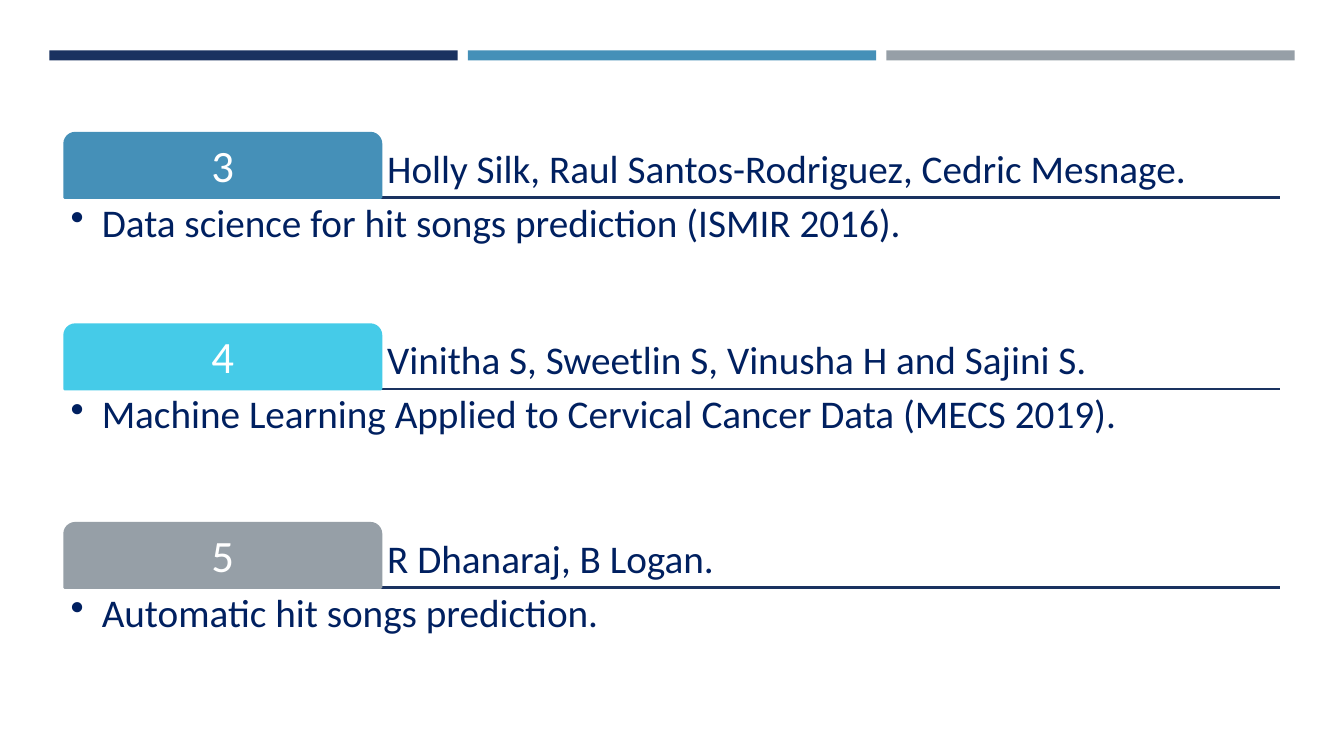
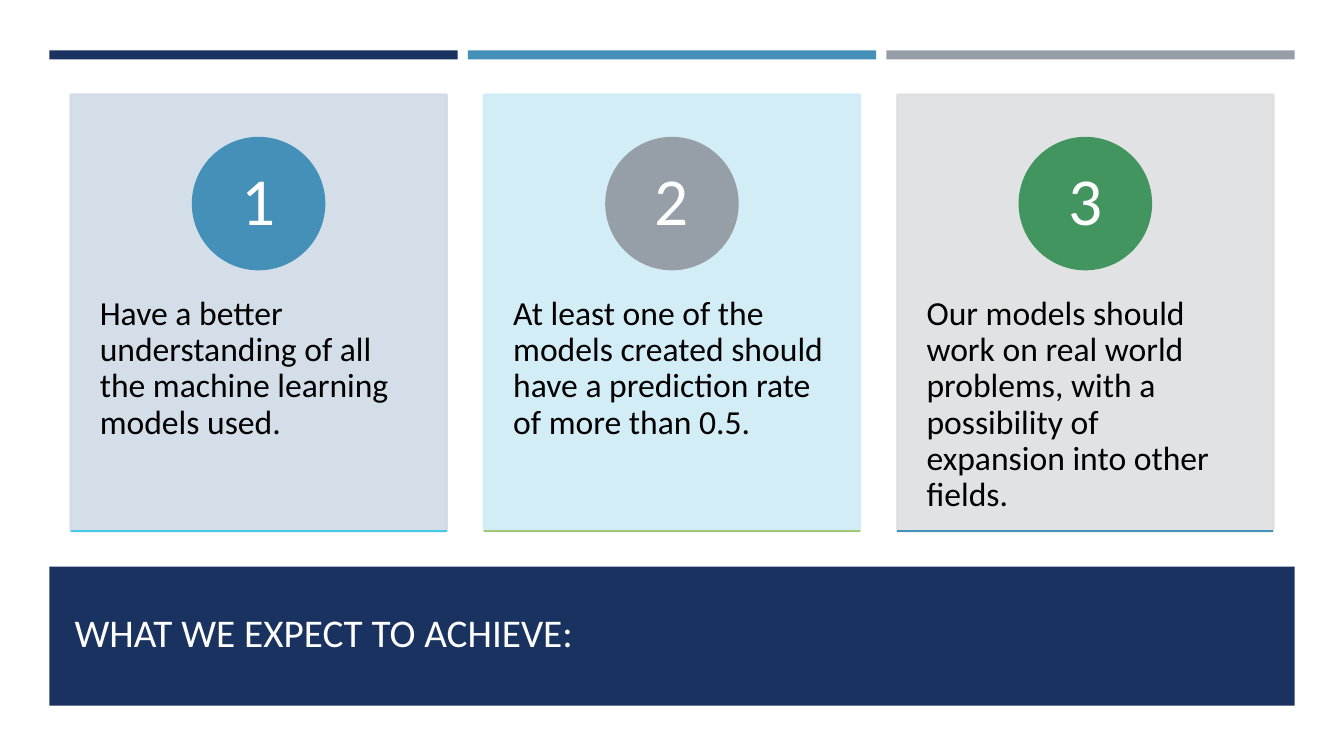
from dataclasses import dataclass

from lxml.etree import SubElement
from pptx import Presentation
from pptx.dml.color import RGBColor
from pptx.enum.shapes import MSO_CONNECTOR as Connector, MSO_SHAPE as Shape
from pptx.enum.text import MSO_ANCHOR as Anchor, MSO_AUTO_SIZE as AutoSize, PP_ALIGN as Align
from pptx.oxml.ns import qn
from pptx.util import Inches, Pt


@dataclass(frozen=True)
class Theme:
    font: str = "Calibri"
    navy: str = "1A3260"
    blue: str = "4590B8"
    grey: str = "969FA7"
    cyan: str = "45CBE8"
    lime: str = "A2C777"
    green: str = "42955F"
    pale_blue: str = "CFDBE6"
    pale_cyan: str = "CFECF6"
    pale_grey: str = "DDDFE1"
    ink: str = "002060"
    black: str = "000000"
    white: str = "FFFFFF"
    title_white: str = "FFFEFF"
    heading_size: int = 28
    body_size: int = 24
    tab_size: int = 32
    circle_size: int = 48
    line_width: float = 1.75
    tight: float = 0.9


class SlideBuilder:
    """Holds the style and the slide being built."""

    def __init__(self, deck, theme):
        self.deck = deck
        self.theme = theme
        self.page = None

    def new_page(self, layout, bar_height):
        self.page = self.deck.slides.add_slide(self.deck.slide_layouts.get_by_name(layout))
        colors = (self.theme.navy, self.theme.blue, self.theme.grey)
        for column, color in enumerate(colors):
            self.shape(Shape.RECTANGLE, (0.49 + 4.15 * column, 0.5, 4.05, bar_height),
                       color, outlined=False)

    def shape(self, kind, area, color, outlined=True, opacity=None):
        shape = self.page.shapes.add_shape(kind, *map(Inches, area))
        shape.shadow.inherit = False
        shape.fill.solid()
        shape.fill.fore_color.rgb = RGBColor.from_string(color)
        if outlined:
            shape.line.color.rgb = RGBColor.from_string(color)
            shape.line.width = Pt(self.theme.line_width)
        else:
            shape.line.fill.background()
        if opacity is not None:
            for tint in list(shape.element.spPr.iter(qn("a:srgbClr"))):
                SubElement(tint, qn("a:alpha")).set("val", str(opacity * 1000))
        return shape

    def rule(self, left, right, top, color):
        line = self.page.shapes.add_connector(
            Connector.STRAIGHT, Inches(left), Inches(top), Inches(right), Inches(top))
        line.line.color.rgb = RGBColor.from_string(color)
        line.line.width = Pt(self.theme.line_width)
        SubElement(line.element.spPr, qn("a:effectLst"))

    def add_text(self, shape, text, size, color, insets=(0, 0, 0, 0), anchor=Anchor.TOP,
                 align=Align.LEFT, spacing=None, bullet=False):
        frame = shape.text_frame
        frame.word_wrap = True
        frame.auto_size = AutoSize.NONE
        frame.vertical_anchor = anchor
        (frame.margin_left, frame.margin_top,
         frame.margin_right, frame.margin_bottom) = map(Inches, insets)
        para = frame.paragraphs[0]
        para.alignment = align
        para.line_spacing = spacing or self.theme.tight
        if bullet:
            props = para._p.get_or_add_pPr()
            props.set("marL", str(Inches(0.31)))
            props.set("indent", str(-Inches(0.31)))
            SubElement(props, qn("a:buChar")).set("char", "•")
        span = para.add_run()
        span.text = text
        span.font.name = self.theme.font
        span.font.size = Pt(size)
        span.font.color.rgb = RGBColor.from_string(color)

    def text_box(self, area, *content, **style):
        box = self.page.shapes.add_textbox(*map(Inches, area))
        self.add_text(box, *content, **style)

    def number(self, kind, area, color, text, size, insets=(0, 0, 0, 0)):
        badge = self.shape(kind, area, color)
        self.add_text(badge, text, size, self.theme.white, insets=insets,
                      anchor=Anchor.MIDDLE, align=Align.CENTER)

    def title_band(self, text):
        title = self.page.shapes.title
        title.left, title.top, title.width, title.height = map(Inches, (0.49, 5.62, 12.35, 1.38))
        title.fill.solid()
        title.fill.fore_color.rgb = RGBColor.from_string(self.theme.navy)
        self.add_text(title, text, self.theme.heading_size, self.theme.title_white,
                      insets=(0.25, 0.05, 0.25, 0.5), anchor=Anchor.BOTTOM, spacing=1.0)

    def reference(self, top, number, color, authors, work):
        theme, left, tab_width, width, height = self.theme, 0.64, 3.14, 12.06, 0.64
        base = top + height
        pads = (0.06,) * 4
        self.rule(left, left + width, base, theme.navy)
        self.number(Shape.ROUND_2_SAME_RECTANGLE, (left, top, tab_width, height),
                    color, number, theme.tab_size, insets=(0, 0.02, 0, 0))
        self.text_box((left + tab_width, top, width - tab_width, height), authors,
                      theme.heading_size, theme.ink, insets=pads, anchor=Anchor.BOTTOM)
        self.text_box((left, base, width, 1.25), work,
                      theme.heading_size, theme.ink, insets=pads, bullet=True)

    def goal_card(self, left, number, fill, circle, accent, text):
        theme, top, width, height, diameter = self.theme, 0.94, 3.73, 4.33, 1.3
        self.shape(Shape.RECTANGLE, (left, top, width, height), fill, opacity=90)
        self.text_box((left, 2.58, width, 2.6), text, theme.body_size, theme.black,
                      insets=(0.29, 0.36, 0.29, 0.36))
        self.number(Shape.OVAL, (left + (width - diameter) / 2, 1.37, diameter, diameter),
                    circle, number, theme.circle_size)
        self.rule(left, left + width, top + height, accent)


def main():
    deck = Presentation()
    deck.slide_width, deck.slide_height = Inches(13.33), Inches(7.5)
    theme = Theme()
    builder = SlideBuilder(deck, theme)

    # References
    builder.new_page("Blank", bar_height=0.1)
    references = (
        (1.32, "3", theme.blue, "Holly Silk, Raul Santos-Rodriguez, Cedric Mesnage.",
         "Data science for hit songs prediction (ISMIR 2016)."),
        (3.22, "4", theme.cyan, "Vinitha S, Sweetlin S, Vinusha H and Sajini S.",
         "Machine Learning Applied to Cervical Cancer Data (MECS 2019)."),
        (5.19, "5", theme.grey, "R Dhanaraj, B Logan.", "Automatic hit songs prediction."),
    )
    for reference in references:
        builder.reference(*reference)

    # Goals
    builder.new_page("Title Only", bar_height=0.09)
    builder.title_band("WHAT WE EXPECT TO ACHIEVE:")
    goals = (
        (theme.pale_blue, theme.blue, theme.cyan,
         "Have a better understanding of all the machine learning models used."),
        (theme.pale_cyan, theme.grey, theme.lime,
         "At least one of the models created should have a prediction rate of more than 0.5."),
        (theme.pale_grey, theme.green, theme.blue,
         "Our models should work on real world problems, with a possibility of "
         "expansion into other fields."),
    )
    for column, goal in enumerate(goals):
        builder.goal_card(0.7 + 4.1 * column, str(column + 1), *goal)

    deck.save("out.pptx")


if __name__ == "__main__":
    main()
